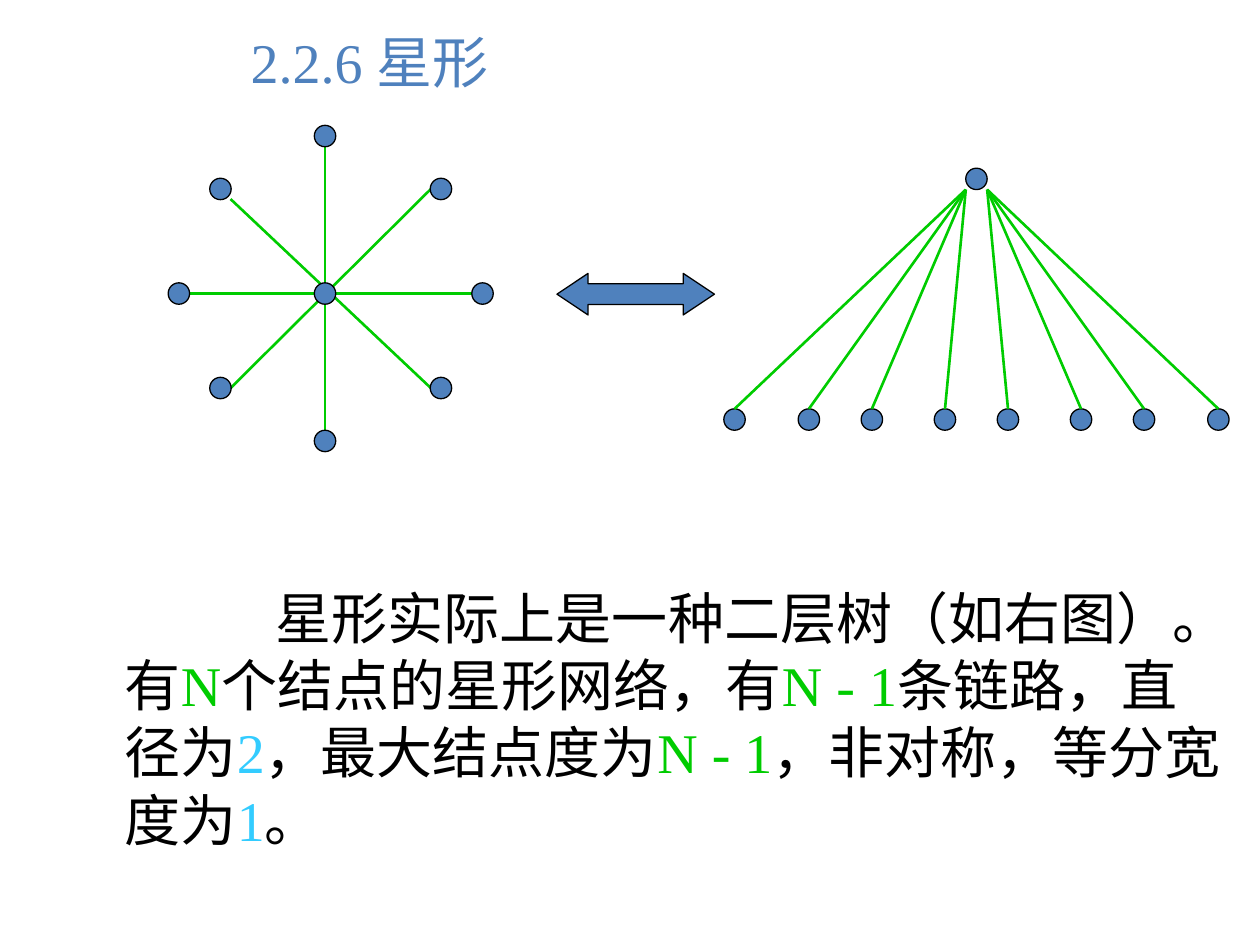
from lxml import etree
from pptx import Presentation
from pptx.dml.color import RGBColor
from pptx.enum.shapes import MSO_CONNECTOR, MSO_SHAPE
from pptx.enum.text import MSO_ANCHOR, MSO_AUTO_SIZE, PP_ALIGN
from pptx.oxml.ns import qn
from pptx.util import Inches, Pt

STRAIGHT = MSO_CONNECTOR.STRAIGHT
OVAL, DOUBLE_ARROW = MSO_SHAPE.OVAL, MSO_SHAPE.LEFT_RIGHT_ARROW
TOP, NO_FIT, LEFT = MSO_ANCHOR.TOP, MSO_AUTO_SIZE.NONE, PP_ALIGN.LEFT

BLUE, GREEN, CYAN, BLACK = "4F81BD", "00CC00", "33CCFF", "000000"
FONT = "Times New Roman"
NODE = 0.17

HEADING = [("2.2.6 星形", BLUE)]
DESCRIPTION = [
    ("星形实际上是一种二层树（如右图）。有", BLACK), ("N", GREEN),
    ("个结点的星形网络，有", BLACK), ("N - 1", GREEN),
    ("条链路，直径为", BLACK), ("2", CYAN),
    ("，最大结点度为", BLACK), ("N - 1", GREEN),
    ("，非对称，等分宽度为", BLACK), ("1", CYAN), ("。", BLACK),
]

STAR_LINKS = [
    ((2.58, 1.17), (2.58, 3.42)), ((1.5, 2.33), (3.75, 2.33)),
    ((1.83, 3.08), (3.42, 1.5)), ((1.83, 1.58), (3.42, 3.08)),
]
STAR_NODES = [
    (2.58, 2.33), (2.58, 1.08), (2.58, 3.5), (1.42, 2.33), (3.83, 2.33),
    (1.75, 1.5), (3.5, 1.5), (1.75, 3.08), (3.5, 3.08),
]
ROOT = (7.75, 1.42)
LEAF_XS = [5.83, 6.42, 6.92, 7.5, 8, 8.58, 9.08, 9.67]
LEAF_Y = 3.33


def color(hex_code):
    return RGBColor.from_string(hex_code)


def add_outlined(shapes, kind, left, top, width, height):
    outlined = shapes.add_shape(kind, Inches(left), Inches(top), Inches(width), Inches(height))
    outlined.shadow.inherit = False
    outlined.fill.solid()
    outlined.fill.fore_color.rgb = color(BLUE)
    outlined.line.color.rgb = color(BLACK)
    outlined.line.width = Pt(0.75)
    return outlined


def add_node(shapes, x, y):
    add_outlined(shapes, OVAL, x - NODE / 2, y - NODE / 2, NODE, NODE)


def add_link(shapes, start, end):
    link = shapes.add_connector(STRAIGHT, *(Inches(v) for v in (*start, *end)))
    link.line.color.rgb = color(GREEN)
    link.line.width = Pt(1.5)
    etree.SubElement(link._element.spPr, qn("a:effectLst"))


def fill_placeholder(holder, box, pieces, margin, indent):
    holder.left, holder.top, holder.width, holder.height = (Inches(v) for v in box)
    frame = holder.text_frame
    frame.word_wrap = True
    frame.auto_size = NO_FIT
    frame.vertical_anchor = TOP
    paragraph = frame.paragraphs[0]
    properties = paragraph._p.get_or_add_pPr()
    properties.set("marL", str(Inches(margin)))
    properties.set("indent", str(Inches(indent)))
    etree.SubElement(properties, qn("a:buNone"))
    paragraph.alignment = LEFT
    paragraph.space_before = Pt(0)
    for words, hex_code in pieces:
        run = paragraph.add_run()
        run.text = words
        run.font.name = FONT
        run.font.size = Pt(32)
        run.font.color.rgb = color(hex_code)


def main():
    deck = Presentation()
    deck.slide_width, deck.slide_height = Inches(10), Inches(7.5)
    slide = deck.slides.add_slide(deck.slide_layouts[1])
    title, body = slide.placeholders
    fill_placeholder(title, (0.08, 0.17, 9.58, 0.58), HEADING, 1.81, 0)
    fill_placeholder(body, (0.08, 4.58, 9.75, 2.17), DESCRIPTION, 0.81, 1.2)

    star = slide.shapes.add_group_shape().shapes
    for start, end in STAR_LINKS:
        add_link(star, start, end)
    for x, y in STAR_NODES:
        add_node(star, x, y)

    equivalence = add_outlined(slide.shapes, DOUBLE_ARROW, 4.42, 2.17, 1.25, 0.33)
    equivalence.adjustments[0] = 0.5
    equivalence.adjustments[1] = 0.75

    tree = slide.shapes.add_group_shape().shapes
    root_x, root_y = ROOT
    add_node(tree, root_x, root_y)
    for x in LEAF_XS:
        side = -1 if x < root_x else 1
        add_node(tree, x, LEAF_Y)
        add_link(tree, (root_x + side * NODE / 2, root_y + NODE / 2), (x, LEAF_Y - NODE / 2))

    deck.save("out.pptx")


if __name__ == "__main__":
    main()
